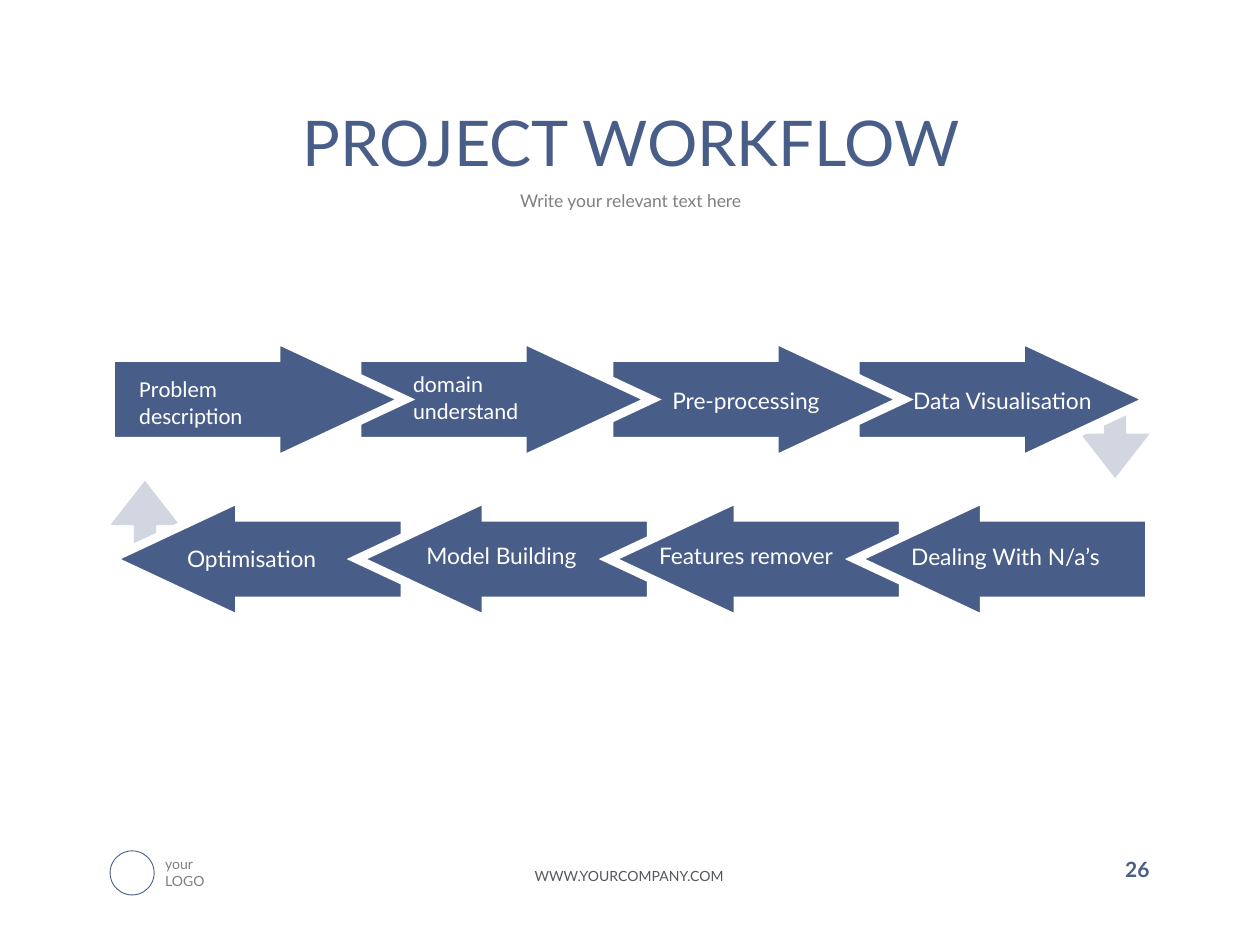
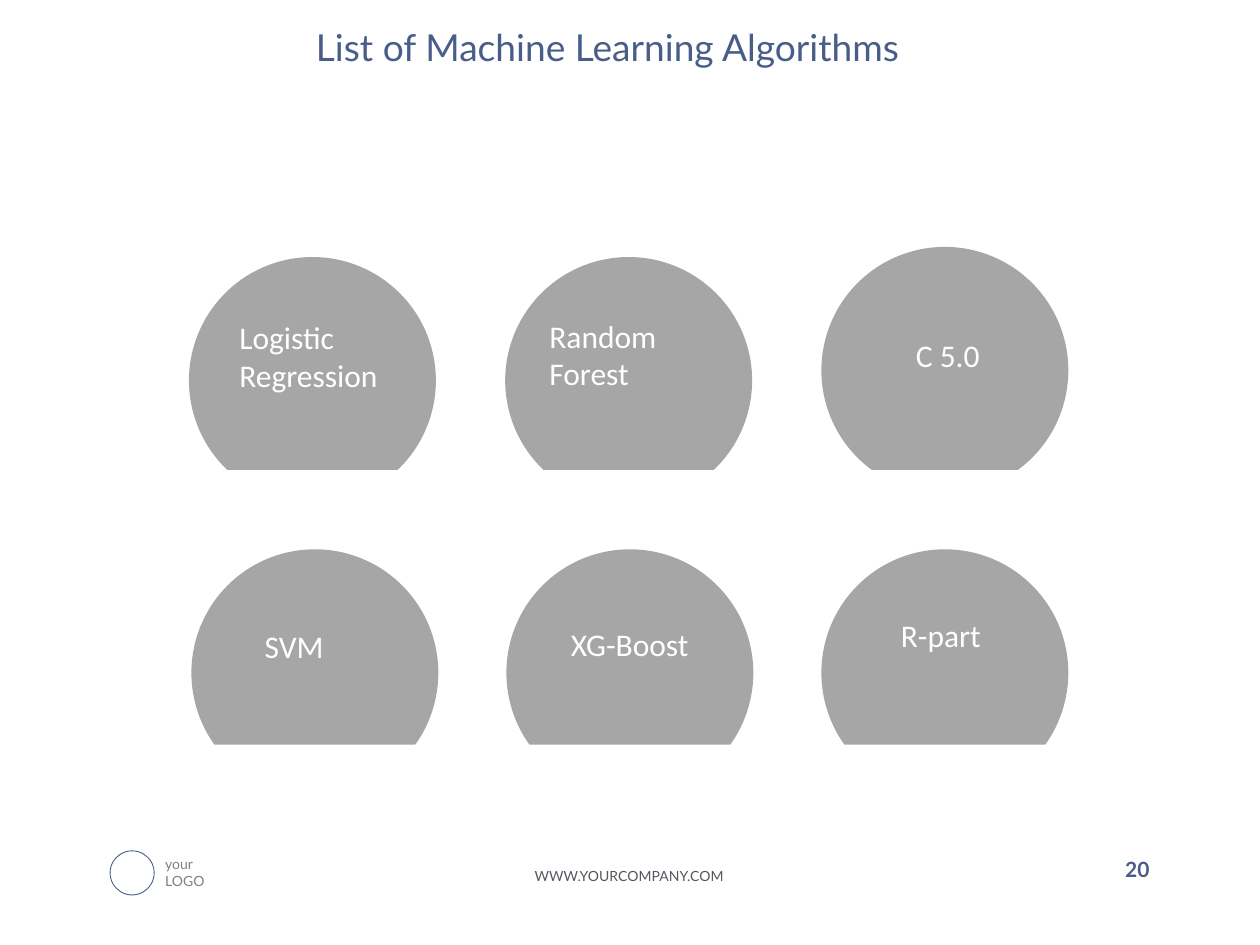
from lxml import etree
from pptx import Presentation
from pptx.dml.color import RGBColor
from pptx.enum.shapes import MSO_SHAPE as SHAPE
from pptx.enum.text import MSO_ANCHOR as ANCHOR, MSO_AUTO_SIZE as FIT, PP_ALIGN as ALIGN
from pptx.oxml.ns import qn
from pptx.util import Pt

# Shared colours and fonts
NAVY = RGBColor(0x48, 0x5D, 0x88)
GREY = RGBColor(0x80, 0x80, 0x80)
SLATE = RGBColor(0x53, 0x58, 0x5F)
DISC = RGBColor(0xA6, 0xA6, 0xA6)
WHITE = RGBColor(0xFF, 0xFF, 0xFF)
LATO, CALIBRI = "Lato", "Calibri"

# Workflow arrows
ARROW_LEFTS = [63.2, 204, 348, 488.7]
ARROW_W, ARROW_H = 168.2, 69
NECK, FLANGE = 94.5, 10.6
TOP_ROW, BOTTOM_ROW = 193.8, 285

# Algorithm discs
DISC_SIZE = 141.1
BAND_LEFT, BAND_W, BAND_H = 89.3, 521.3, 31.7


def pts(*values):
    return [Pt(v) for v in values]


def set_attrs(obj, values):
    for name, value in values.items():
        setattr(obj, name, value)


def write(tf, lines, size, font, color, align=ALIGN.LEFT, bold=False, inset=0, para=None):
    margins = ("margin_left", "margin_top", "margin_right", "margin_bottom")
    set_attrs(tf, dict.fromkeys(margins, Pt(inset)))
    for i, line in enumerate(lines.split("\n")):
        p = tf.paragraphs[0] if i == 0 else tf.add_paragraph()
        set_attrs(p, {"alignment": align, **(para or {})})
        r = p.add_run()
        r.text = line
        set_attrs(r.font, {"size": Pt(size), "name": font, "bold": bold})
        r.font.color.rgb = color


def add_text(slide, box, lines, size, font, color, wrap=True, **style):
    tf = slide.shapes.add_textbox(*pts(*box)).text_frame
    set_attrs(tf, {"word_wrap": wrap, "auto_size": FIT.SHAPE_TO_FIT_TEXT})
    write(tf, lines, size, font, color, **style)


def paint(sp, fill=None, line=None, width=1):
    sp.shadow.inherit = False
    if fill is None:
        sp.fill.background()
    else:
        sp.fill.solid()
        sp.fill.fore_color.rgb = fill
    if line is None:
        sp.line.fill.background()
    else:
        sp.line.color.rgb = line
        sp.line.width = Pt(width)


def add_shape(slide, kind, box, **colors):
    sp = slide.shapes.add_shape(kind, *pts(*box))
    paint(sp, **colors)
    return sp


def fill_placeholder(sp, box, text, size, **style):
    set_attrs(sp, dict(zip(("left", "top", "width", "height"), pts(*box))))
    tf = sp.text_frame
    set_attrs(tf, {"word_wrap": True, "auto_size": FIT.NONE, "vertical_anchor": ANCHOR.MIDDLE})
    write(tf, text, size, LATO, NAVY, **style)


def add_slide(prs, title, title_box, title_size, number):
    """Slide with title, footer and page number."""
    slide = prs.slides.add_slide(prs.slide_layouts[0])
    add_shape(slide, SHAPE.OVAL, (62.9, 486.2, 25.2, 25.2), line=NAVY, width=0.5)
    add_text(slide, (94.3, 488.9, 30.2, 10.1), "your", 8, LATO, GREY)
    add_text(slide, (94.3, 498.6, 30.2, 10.1), "LOGO", 8, LATO, GREY)
    add_text(slide, (296.6, 495.8, 126, 10.1), "WWW.YOURCOMPANY.COM", 8, LATO, SLATE,
             align=ALIGN.CENTER)
    fill_placeholder(slide.shapes.title, title_box, title, title_size,
                     align=ALIGN.CENTER, para={"line_spacing": 0.9})
    fill_placeholder(slide.placeholders[1], (596.4, 486, 60.5, 23), number, 12,
                     align=ALIGN.RIGHT, bold=True,
                     para={"line_spacing": 0.9, "space_before": Pt(10)})
    return slide


def add_step_arrow(slide, left, top, to_left=False):
    outline = [(0, FLANGE), (NECK, FLANGE), (NECK, 0), (ARROW_W, ARROW_H / 2),
               (NECK, ARROW_H), (NECK, ARROW_H - FLANGE), (0, ARROW_H - FLANGE)]
    if to_left:
        outline = [(ARROW_W - x, y) for x, y in outline]
    corners = [pts(left + x, top + y) for x, y in outline]
    fb = slide.shapes.build_freeform(*corners[0])
    fb.add_line_segments(corners[1:], close=True)
    sp = fb.convert_to_shape()
    paint(sp, fill=NAVY, line=WHITE, width=5)
    etree.SubElement(sp.line._get_or_add_ln(), qn("a:miter"), lim="800000")


def add_turn_arrow(slide, kind, left, top):
    sp = add_shape(slide, kind, (left, top, 39.6, 44.6), fill=NAVY)
    sp.adjustments[0], sp.adjustments[1] = 0.32, 0.64
    color = sp._element.spPr.find(qn("a:solidFill"))[0]
    etree.SubElement(color, qn("a:alpha"), val="25000")


def build_workflow(prs):
    slide = add_slide(prs, "PROJECT WORKFLOW", (55.4, 54, 610.6, 59), 36, "26")
    add_text(slide, (195.1, 105.1, 330.5, 19.4), "Write your relevant text here", 10,
             LATO, GREY, align=ALIGN.CENTER, inset=3.6)

    # Arrows: each tail lies under the tip of the step before it
    add_turn_arrow(slide, SHAPE.UP_ARROW, 63, 274.7)
    add_turn_arrow(slide, SHAPE.DOWN_ARROW, 617.4, 228.6)
    for left in reversed(ARROW_LEFTS):
        add_step_arrow(slide, left, TOP_ROW)
    for left in ARROW_LEFTS:
        add_step_arrow(slide, left, BOTTOM_ROW, to_left=True)

    # Step names
    for left, top, name in [
        (371.5, 221, "Pre-processing"), (518, 221, "Data Visualisation"),
        (89, 311, "Optimisation"), (231.8, 309.6, "Model Building"),
        (371.5, 309.6, "Features remover"), (519.8, 310.3, "Dealing With N/a’s"),
    ]:
        add_text(slide, (left, top, 109.4, 15.8), name, 13, LATO, WHITE, align=ALIGN.CENTER)
    for left, top, width, name in [
        (76, 210.6, 89.3, "Problem description"), (232.4, 207.6, 104.4, "domain understand"),
    ]:
        add_text(slide, (left, top, width, 37.4), name, 13, CALIBRI, WHITE, inset=3.6)


def build_algorithms(prs):
    slide = add_slide(prs, "List of Machine Learning Algorithms",
                      (42, 12.3, 610.6, 31.7), 21.2, "20")

    # Two rows of discs, each cut off by a white band
    for left, pitch, tops, band_top in [
        (108, 180.7, (146.9, 146.9, 141.1), 268.6),
        (109.4, 180, (313.9, 313.9, 313.9), 425.5),
    ]:
        for col, top in enumerate(tops):
            add_shape(slide, SHAPE.OVAL, (left + col * pitch, top, DISC_SIZE, DISC_SIZE),
                      fill=DISC)
        add_shape(slide, SHAPE.RECTANGLE, (BAND_LEFT, band_top, BAND_W, BAND_H), fill=WHITE)

    # Algorithm names
    for box, name in [
        ((133.2, 178.2, 91.4, 51.1), "Logistic\nRegression"),
        ((310.3, 177.4, 77.8, 51.1), "Random\nForest"),
        ((519.8, 188.6, 44.6, 29.5), "C 5.0"),
        ((147.6, 355, 60.5, 29.5), "SVM"),
        ((322.6, 353.5, 75.6, 29.5), "XG-Boost"),
        ((511.2, 348.2, 54, 29.5), "R-part"),
    ]:
        # Only the wide box of the short name keeps its width by wrapping
        add_text(slide, box, name, 18, CALIBRI, WHITE, wrap=name == "SVM", inset=3.6)


def main():
    prs = Presentation()
    prs.slide_width, prs.slide_height = pts(720, 540)
    build_workflow(prs)
    build_algorithms(prs)
    prs.save("out.pptx")


if __name__ == "__main__":
    main()
